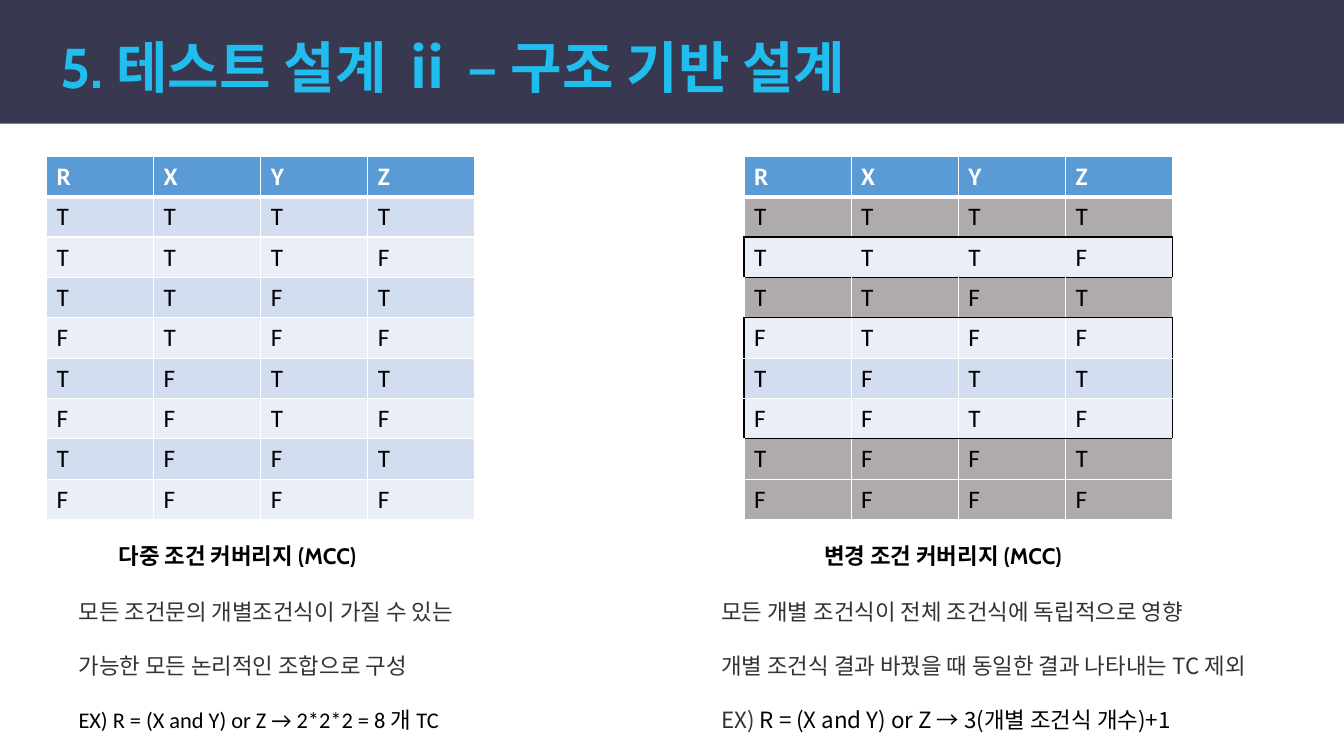
import dataclasses
import itertools

import lxml.etree
import pptx
import pptx.dml.color
import pptx.enum.shapes
import pptx.enum.text
import pptx.oxml.ns
import pptx.util

Cm = pptx.util.Cm
Pt = pptx.util.Pt


@dataclasses.dataclass(frozen=True)
class Theme:
    band: str = "383951"
    title: str = "21BDEE"
    header: str = "5B9BD5"
    stripe_dark: str = "D2DEEF"
    stripe_light: str = "EAEFF7"
    excluded: str = "AFABAB"
    white: str = "FFFFFF"
    black: str = "000000"
    note: str = "333333"
    heading_font: str = "Cabin"
    note_font: str = "Lato"
    table_font: str = "Calibri"
    korean_font: str = "Noto Sans CJK KR"
    title_size: float = 40
    table_size: float = 18
    note_size: float = 16
    note_line: float = 19.3


THEME = Theme()
HEADERS = ["R", "X", "Y", "Z"]
# Every X, Y, Z combination, led by R = (X and Y) or Z
TRUTH_ROWS = [
    ["T" if value else "F" for value in ((x and y) or z, x, y, z)]
    for x, y, z in itertools.product([True, False], repeat=3)
]


def rgb(colour):
    return pptx.dml.color.RGBColor.from_string(colour)


def style_span(span, font, size, colour, bold=False):
    span.font.name = font
    span.font.size = Pt(size)
    span.font.bold = bold
    span.font.color.rgb = rgb(colour)


def add_text_box(page, left, top, width, height):
    box = page.shapes.add_textbox(left, top, width, height)
    box.text_frame.word_wrap = True
    return box


def add_title_band(page, left, top, width, height, title):
    band = page.shapes.add_shape(
        pptx.enum.shapes.MSO_SHAPE.RECTANGLE, left, top, width, height)
    band.shadow.inherit = False
    band.fill.solid()
    band.fill.fore_color.rgb = rgb(THEME.band)
    band.line.fill.background()

    box = add_text_box(page, left + Cm(1.22), top + Cm(0.99), Cm(24), Cm(1.55))
    frame = box.text_frame
    frame.margin_left = frame.margin_right = 0
    frame.margin_top = frame.margin_bottom = 0
    frame.vertical_anchor = pptx.enum.text.MSO_ANCHOR.MIDDLE
    frame.text = title
    para = frame.paragraphs[0]
    para.line_spacing = 0.9
    style_span(para.runs[0], THEME.heading_font, THEME.title_size, THEME.title, True)


def set_border(cell, side, colour, points):
    """Draw one side (L, R, T or B) of a cell; no colour means no line."""
    qn = pptx.oxml.ns.qn
    properties = cell._tc.get_or_add_tcPr()
    line = lxml.etree.SubElement(properties, qn(f"a:ln{side}"), w=str(Pt(points)))
    if colour is None:
        lxml.etree.SubElement(line, qn("a:noFill"))
    else:
        fill = lxml.etree.SubElement(line, qn("a:solidFill"))
        lxml.etree.SubElement(fill, qn("a:srgbClr"), val=colour)


def row_fill(row, kept):
    if row == 0:
        return THEME.header
    if kept and row not in kept:
        return THEME.excluded
    return THEME.stripe_dark if row % 2 else THEME.stripe_light


def cell_borders(row, column, kept):
    """Frame each run of kept rows in black; rule everything else in white."""
    last = len(HEADERS) - 1
    inside = row in kept
    alone = inside and row - 1 not in kept and row + 1 not in kept
    inner = None if alone else THEME.white

    def upright(at_edge):
        return (THEME.black if inside else THEME.white) if at_edge else inner

    def level(neighbour):
        return THEME.black if inside != (neighbour in kept) else THEME.white

    return {
        "L": (upright(column == 0), 1),
        "R": (upright(column == last), 1),
        "T": (level(row - 1), 3 if row == 1 else 1),
        "B": (level(row + 1), 3 if row == 0 else 1),
    }


def add_truth_table(page, left, top, width, height, kept):
    rows = [HEADERS] + TRUTH_ROWS
    table = page.shapes.add_table(
        len(rows), len(HEADERS), left, top, width, height).table
    table.horz_banding = False
    for row, values in enumerate(rows):
        for column, value in enumerate(values):
            cell = table.cell(row, column)
            for side, (colour, points) in cell_borders(row, column, kept).items():
                set_border(cell, side, colour, points)
            cell.fill.solid()
            cell.fill.fore_color.rgb = rgb(row_fill(row, kept))
            cell.text_frame.text = value
            style_span(cell.text_frame.paragraphs[0].runs[0], THEME.table_font,
                       THEME.table_size, THEME.white if row == 0 else THEME.black,
                       row == 0)


def add_notes(page, left, top, width, height, notes):
    frame = add_text_box(page, left, top, width, height).text_frame
    for index, spans in enumerate(notes):
        para = frame.add_paragraph() if index else frame.paragraphs[0]
        para.line_spacing = Pt(THEME.note_line)
        if index:
            para.space_before = Pt(THEME.note_line)
        for text, font, colour in spans:
            span = para.add_run()
            span.text = text
            style_span(span, font, THEME.note_size, colour)


def add_coverage(page, left, top, width, caption, caption_shift,
                 notes, notes_shift, notes_width, kept=()):
    """Stack a truth table, its caption and its notes."""
    add_truth_table(page, left, top, width, Cm(9.14), kept)

    box = add_text_box(page, left + caption_shift, top + Cm(9.6), Cm(8.2), Cm(0.94))
    box.text_frame.text = caption
    para = box.text_frame.paragraphs[0]
    para.line_spacing = Pt(THEME.note_line)
    style_span(para.runs[0], THEME.heading_font, THEME.note_size, THEME.black, True)

    add_notes(page, left + notes_shift, top + Cm(11), notes_width, Cm(3.68), notes)


def main():
    deck = pptx.Presentation()
    deck.slide_width, deck.slide_height = Cm(33.87), Cm(19.05)
    page = deck.slides.add_slide(deck.slide_layouts[6])

    add_title_band(page, 0, 0, deck.slide_width, Cm(3.12),
                   " 5. 테스트 설계 ⅱ – 구조 기반 설계")

    # Left: every combination
    latin, korean = THEME.note_font, THEME.korean_font
    add_coverage(
        page, Cm(1.17), Cm(3.94), Cm(10.8),
        "다중 조건 커버리지 (MCC)", Cm(1.57),
        [[("모든 조건문의 개별조건식이 가질 수 있는", latin, THEME.note)],
         [("가능한 모든 논리적인 조합으로 구성", latin, THEME.note)],
         [("EX) R = (X and Y) or Z → 2*2*2 = 8 개 TC",
           THEME.table_font, THEME.black)]],
        Cm(0.56), Cm(12.5))

    # Right: only the rows that matter
    add_coverage(
        page, Cm(18.75), Cm(3.94), Cm(10.8),
        "변경 조건 커버리지 (MCC)", Cm(1.77),
        [[("모든 개별 조건식이 전체 조건식에 독립적으로 영향", korean, THEME.note)],
         [("개별 조건식 결과 바꿨을 때 동일한 결과 나타내는 TC 제외",
           korean, THEME.note)],
         [("EX) ", korean, THEME.note),
          ("R = (X and Y) or Z → 3(개별 조건식 개수)+1", korean, THEME.black)]],
        Cm(-0.82), Cm(15.9), kept=(2, 4, 5, 6))

    deck.save("out.pptx")


if __name__ == "__main__":
    main()
